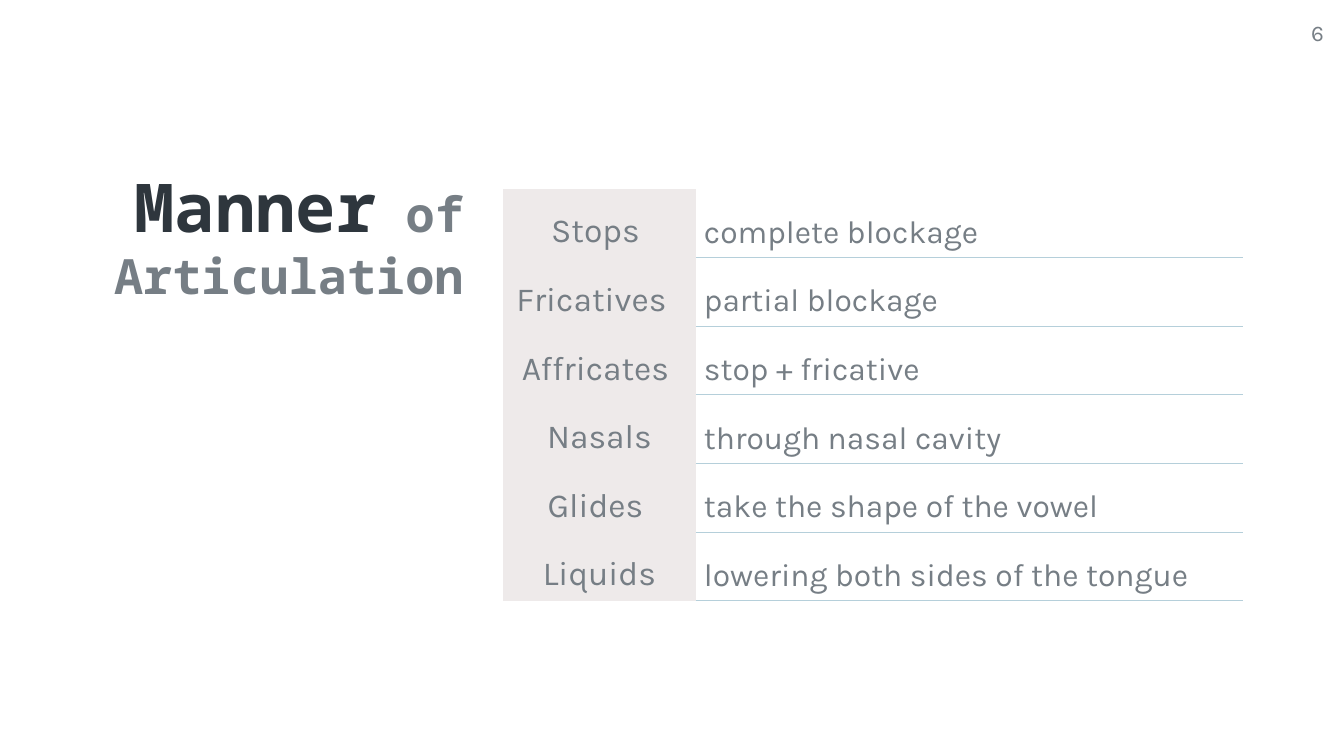
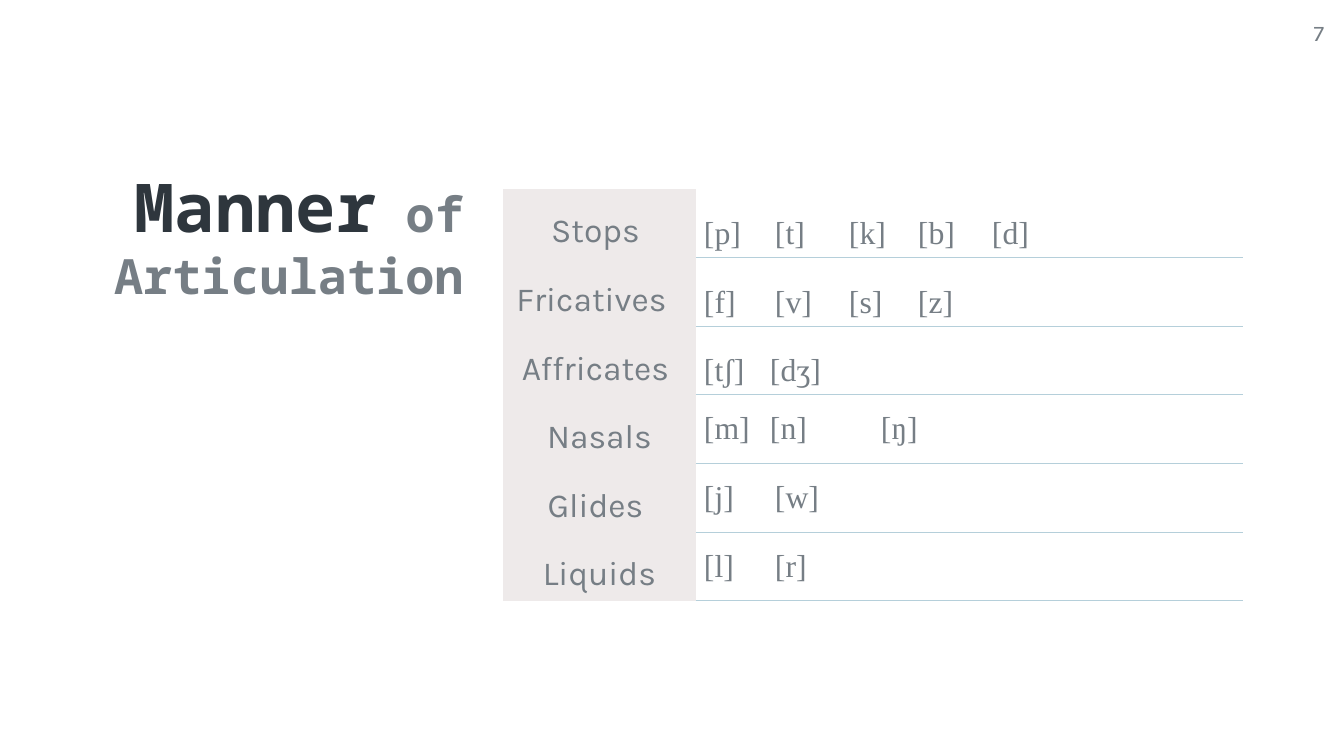
from lxml.etree import SubElement
from pptx import Presentation
from pptx.dml.color import RGBColor
from pptx.enum.text import MSO_ANCHOR, PP_ALIGN
from pptx.oxml.ns import qn
from pptx.util import Pt

EMU_PER_PX = 914400 / 134.4
COLORS = {"dark": "2E363D", "grey": "767E85", "band": "EEEAEA", "rule": "B5CFDA"}
TITLE_FONT, BODY_FONT, PHONETIC_FONT = "Noto Sans Mono", "Karla", "Times New Roman"
NO_STYLE = "{2D5ABB26-0587-4C30-8999-92F81FD0307C}"

# Each manner with the right inset that nudges its centred label
MANNERS = [("Stops", 8), ("Fricatives", 16), ("Affricates", 8),
           ("Nasals", 0), ("Glides", 8), ("Liquids", 0)]
DESCRIPTIONS = ["complete blockage", "partial blockage", "stop + fricative",
                "through nasal cavity", "take the shape of the vowel",
                "lowering both sides of the tongue"]
WIDE_STOPS, NARROW_STOPS = (71, 145, 214, 288), (66, 177)
# Symbols, tab stops, line spacing in points
PHONETICS = [("[p]\t[t]\t[k]\t[b]\t[d]", WIDE_STOPS, 30),
             ("[f]\t[v]\t[s]\t[z]", WIDE_STOPS, 30),
             ("[tʃ]\t[dʒ]", NARROW_STOPS, 30),
             ("[m]\t[n]\t[ŋ]", NARROW_STOPS, None),
             ("[j]\t[w]", WIDE_STOPS, None),
             ("[l]\t[r]", WIDE_STOPS, None)]


def px(length):
    return round(length * EMU_PER_PX)


def style_font(font, name, size, color, bold=False):
    font.name, font.size, font.bold = name, Pt(size), bold
    font.color.rgb = RGBColor.from_string(COLORS[color])


def add_text(slide, box, runs, align=PP_ALIGN.RIGHT, line_spacing=None):
    """Add a text box of one paragraph; runs are (text, font, size, color, bold)."""
    frame = slide.shapes.add_textbox(*map(px, box)).text_frame
    frame.word_wrap = True
    frame.margin_left = frame.margin_right = frame.margin_top = frame.margin_bottom = 0
    paragraph = frame.paragraphs[0]
    paragraph.alignment = align
    paragraph.line_spacing = line_spacing
    for text, *style in runs:
        run = paragraph.add_run()
        run.text = text
        style_font(run.font, *style)


def add_title(slide):
    add_text(slide, (82, 165, 382, 144),
             [("Manner", TITLE_FONT, 36, "dark", True),
              (" ", TITLE_FONT, 26, "dark", True),
              ("of Articulation", TITLE_FONT, 26, "grey", True)])


def add_page_number(slide, number):
    add_text(slide, (1243, 19, 81, 58), [(str(number), BODY_FONT, 12, "grey")])


def add_tab_stops(paragraph, stops):
    tabs = SubElement(paragraph._p.get_or_add_pPr(), qn("a:tabLst"))
    for stop in stops:
        SubElement(tabs, qn("a:tab"), pos=str(px(stop)), algn="l")


def add_rule(cell, side):
    line = SubElement(cell._tc.get_or_add_tcPr(), qn(f"a:{side}"), w=str(Pt(0.5)))
    fill = SubElement(line, qn("a:solidFill"))
    SubElement(fill, qn("a:srgbClr"), val=COLORS["rule"])


def fill_cell(cell, text, font, size, left=0, right=0, spacing=30, stops=(),
              align=PP_ALIGN.LEFT):
    cell.margin_left, cell.margin_right = px(left), px(right)
    cell.margin_top = cell.margin_bottom = 0
    cell.vertical_anchor = MSO_ANCHOR.MIDDLE
    paragraph = cell.text_frame.paragraphs[0]
    paragraph.text = text
    paragraph.alignment = align
    if spacing:
        paragraph.line_spacing = Pt(spacing)
    if stops:
        add_tab_stops(paragraph, stops)
    for run in paragraph.runs:
        style_font(run.font, font, size, "grey")


def add_manner_table(slide, details, detail_font):
    """Add the table of manners; details are (text, tab stops, line spacing)."""
    table = slide.shapes.add_table(len(MANNERS), 2, px(503), px(189),
                                   px(740), px(412)).table
    table.first_row = table.horz_banding = False
    table._tbl.tblPr.find(qn("a:tableStyleId")).text = NO_STYLE
    table.columns[0].width, table.columns[1].width = px(193), px(547)
    for row, ((manner, inset), (text, stops, spacing)) in enumerate(zip(MANNERS, details)):
        label, detail = table.cell(row, 0), table.cell(row, 1)
        fill_cell(label, manner, BODY_FONT, 18, right=inset, align=PP_ALIGN.CENTER)
        label.fill.solid()
        label.fill.fore_color.rgb = RGBColor.from_string(COLORS["band"])
        fill_cell(detail, text, detail_font, 17, left=8, spacing=spacing, stops=stops)
        if row:
            add_rule(detail, "lnT")
        add_rule(detail, "lnB")
        detail.fill.background()


def main():
    deck = Presentation()
    deck.slide_width, deck.slide_height = px(1344), px(756)
    descriptions = [(text, (), 30) for text in DESCRIPTIONS]
    pages = [(6, descriptions, BODY_FONT), (7, PHONETICS, PHONETIC_FONT)]
    for number, details, font in pages:
        slide = deck.slides.add_slide(deck.slide_layouts[6])
        add_title(slide)
        add_page_number(slide, number)
        add_manner_table(slide, details, font)
    deck.save("out.pptx")


if __name__ == "__main__":
    main()
